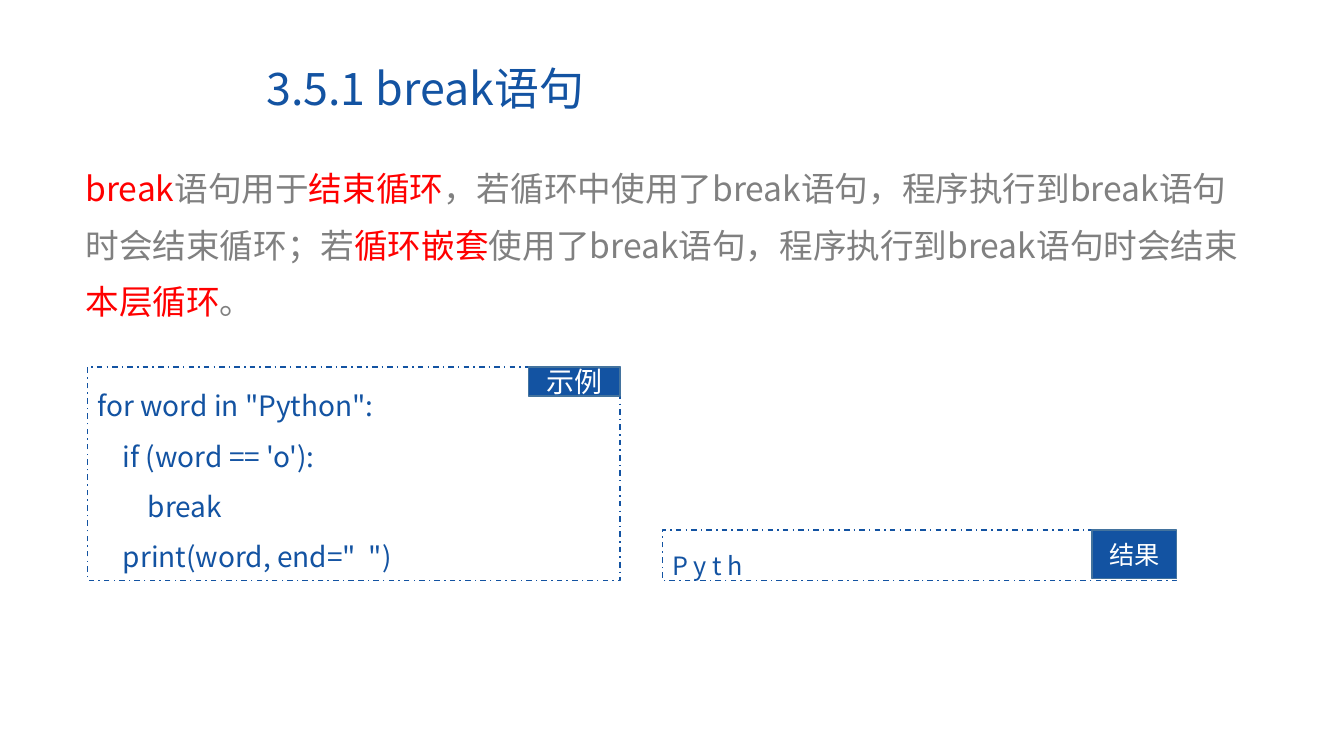
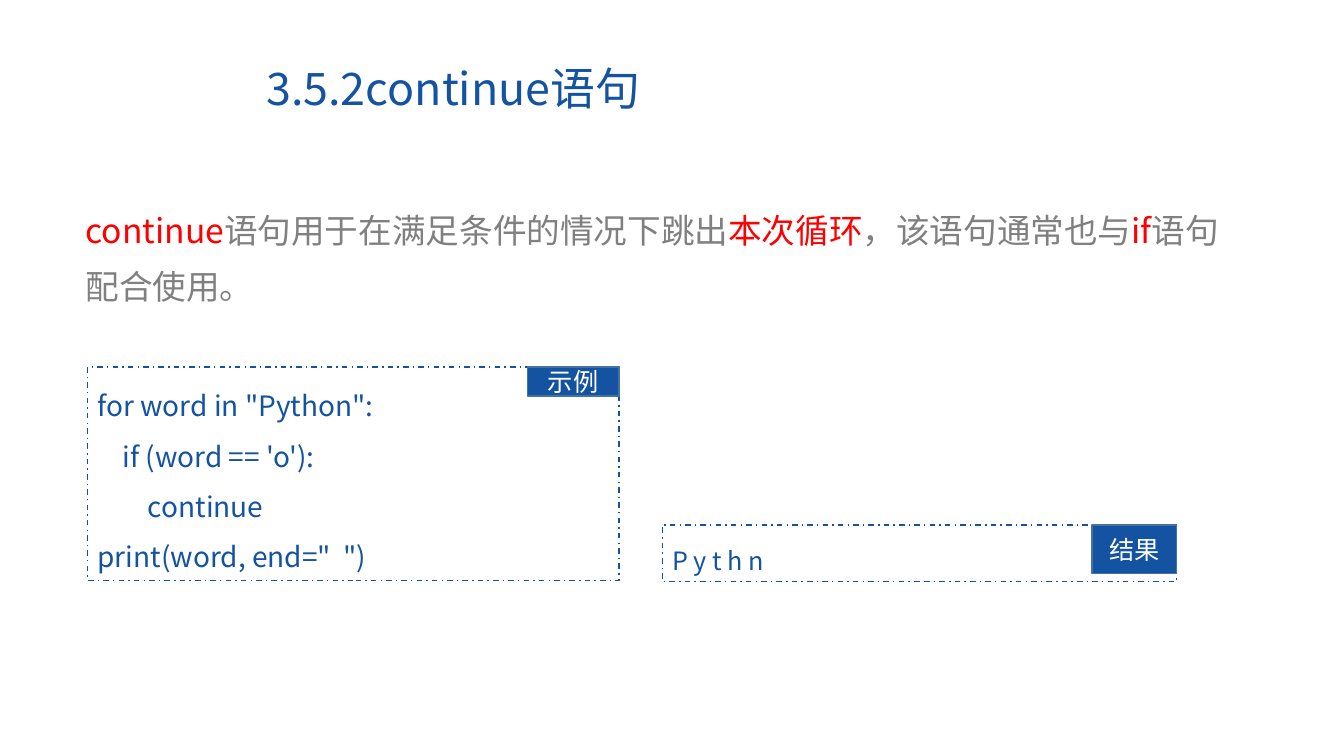
from dataclasses import dataclass

from lxml import etree
from pptx import Presentation
from pptx import util as u
from pptx.dml.color import RGBColor
from pptx.enum import dml, shapes, text
from pptx.oxml import ns

COLORS = {
    "blue": "1353A2",
    "edge": "43739E",
    "red": "FF0000",
    "gray": "808080",
    "white": "FFFFFF",
}
FONT = "Noto Sans CJK SC"


@dataclass(frozen=True)
class Span:
    content: str
    color: str = "gray"


@dataclass(frozen=True)
class Box:
    left: float
    top: float
    width: float
    height: float

    def lengths(self) -> list[u.Length]:
        return [u.Inches(v) for v in (self.left, self.top, self.width, self.height)]


@dataclass(frozen=True)
class Panel:
    box: Box
    content: str
    size: int
    label: str
    label_width: float
    label_height: float
    label_size: int


@dataclass(frozen=True)
class Lesson:
    title: str
    summary_box: Box
    summary: list[Span]
    panels: list[Panel]


def example_panel(width: float, label_size: int, code: str) -> Panel:
    return Panel(Box(0.87, 3.64, width, 2.12), code, 20, "示例", 0.91, 0.29, label_size)


def result_panel(top: float, height: float, output: str) -> Panel:
    return Panel(Box(6.57, top, 5.1, height), output, 18, "结果", 0.84, 0.48, 18)


LESSONS = [
    Lesson(
        "3.5.1 break语句",
        Box(0.75, 1.46, 11.64, 1.74),
        [
            Span("break", "red"),
            Span("语句用于"),
            Span("结束循环", "red"),
            Span("，若循环中使用了break语句，程序执行到break语句时会结束循环；若"),
            Span("循环嵌套", "red"),
            Span("使用了break语句，程序执行到break语句时会结束"),
            Span("本层循环", "red"),
            Span("。"),
        ],
        [
            example_panel(
                5.28,
                20,
                "for word in \"Python\":\n"
                "    if (word == 'o'):\n"
                "        break\n"
                "    print(word, end=\"  \")",
            ),
            result_panel(5.26, 0.5, "P y t h"),
        ],
    ),
    Lesson(
        "3.5.2continue语句",
        Box(0.75, 1.87, 11.64, 1.17),
        [
            Span("continue", "red"),
            Span("语句用于在满足条件的情况下跳出"),
            Span("本次循环", "red"),
            Span("，该语句通常也与"),
            Span("if", "red"),
            Span("语句配合使用。"),
        ],
        [
            example_panel(
                5.27,
                18,
                "for word in \"Python\":\n"
                "    if (word == 'o'):\n"
                "        continue\n"
                "print(word, end=\"  \")",
            ),
            result_panel(5.21, 0.56, "P y t h n"),
        ],
    ),
]


def rgb(name: str) -> RGBColor:
    return RGBColor.from_string(COLORS[name])


def format_run(run, size: int, color: str) -> None:
    run.font.size = u.Pt(size)
    run.font.name = FONT
    run.font.color.rgb = rgb(color)
    east_asian = etree.Element(ns.qn("a:ea"), typeface=FONT)
    run.font._element.find(ns.qn("a:latin")).addnext(east_asian)


def format_text(frame, size: int, color: str, spacing: float, alignment, anchor) -> None:
    frame.word_wrap = True
    frame.auto_size = text.MSO_AUTO_SIZE.NONE
    frame.vertical_anchor = anchor
    for paragraph in frame.paragraphs:
        paragraph.alignment = alignment
        paragraph.line_spacing = spacing
        for run in paragraph.runs:
            format_run(run, size, color)


def add_title(slide, content: str) -> None:
    title = slide.shapes.title
    title.left, title.top, title.width, title.height = Box(2.54, 0.61, 8.38, 0.59).lengths()
    title.text_frame.text = content
    format_text(title.text_frame, 32, "blue", 0.9, text.PP_ALIGN.LEFT, text.MSO_ANCHOR.MIDDLE)


def add_summary(slide, box: Box, spans: list[Span]) -> None:
    frame = slide.shapes.add_textbox(*box.lengths()).text_frame
    frame.word_wrap = True
    paragraph = frame.paragraphs[0]
    paragraph.line_spacing = 1.4
    for span in spans:
        run = paragraph.add_run()
        run.text = span.content
        format_run(run, 24, span.color)


def add_rectangle(group, box: Box, content: str, line_color: str):
    rectangle = group.shapes.add_shape(shapes.MSO_SHAPE.RECTANGLE, *box.lengths())
    rectangle.shadow.inherit = False
    rectangle.line.color.rgb = rgb(line_color)
    rectangle.line.width = u.Pt(1)
    rectangle.text_frame.text = content
    return rectangle


def add_panel(slide, panel: Panel) -> None:
    group = slide.shapes.add_group_shape()
    box = panel.box
    frame = add_rectangle(group, box, panel.content, "blue")
    frame.fill.background()
    frame.line.dash_style = dml.MSO_LINE.DASH_DOT
    format_text(
        frame.text_frame, panel.size, "blue", 1.5, text.PP_ALIGN.LEFT, text.MSO_ANCHOR.TOP
    )

    label_left = box.left + box.width - panel.label_width
    label_box = Box(label_left, box.top, panel.label_width, panel.label_height)
    label = add_rectangle(group, label_box, panel.label, "edge")
    label.fill.solid()
    label.fill.fore_color.rgb = rgb("blue")
    format_text(
        label.text_frame, panel.label_size, "white", 1.0,
        text.PP_ALIGN.CENTER, text.MSO_ANCHOR.MIDDLE,
    )


def main() -> None:
    presentation = Presentation()
    presentation.slide_width = u.Inches(13.33)
    presentation.slide_height = u.Inches(7.5)
    title_only = presentation.slide_layouts[5]
    for lesson in LESSONS:
        slide = presentation.slides.add_slide(title_only)
        add_title(slide, lesson.title)
        add_summary(slide, lesson.summary_box, lesson.summary)
        for panel in lesson.panels:
            add_panel(slide, panel)
    presentation.save("out.pptx")


if __name__ == "__main__":
    main()
